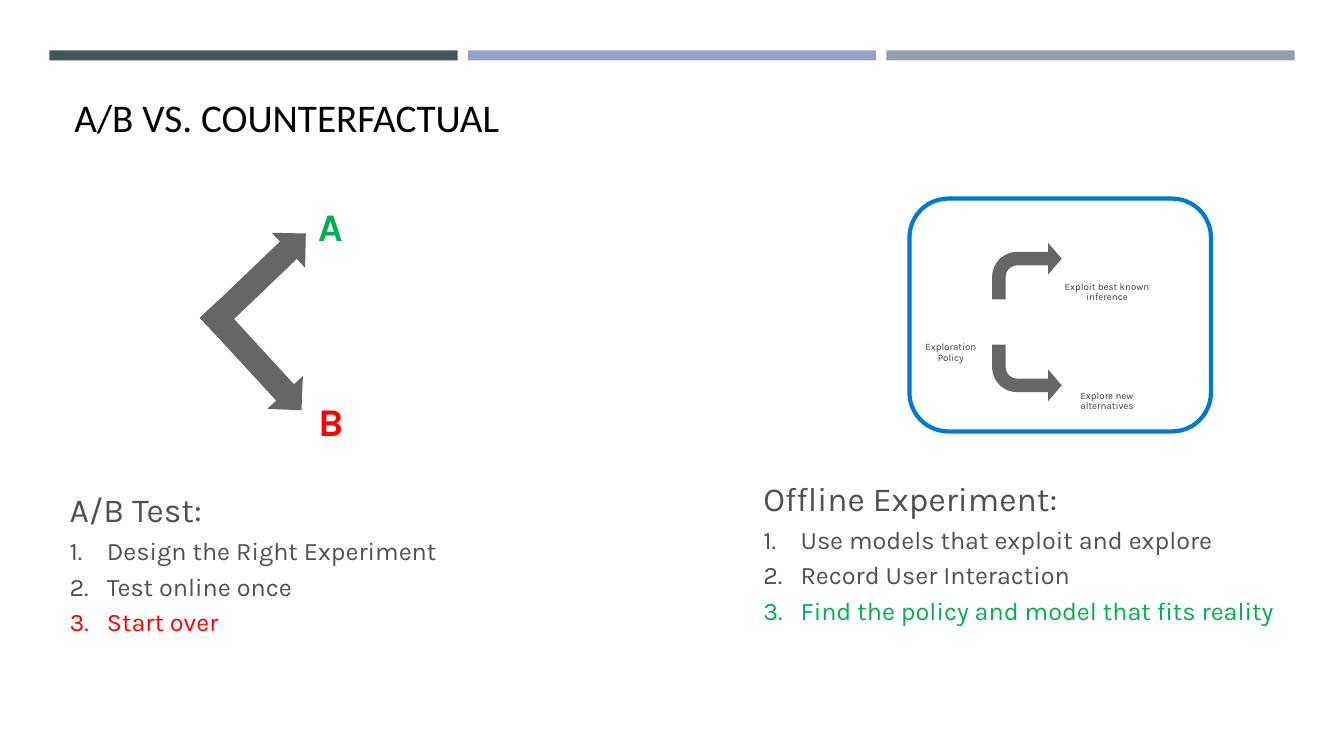
from lxml import etree
from pptx import Presentation
from pptx import util as u
from pptx.dml.color import RGBColor
from pptx.enum import shapes, text
from pptx.oxml import ns

PX = 9144
GREEN, RED, ARROW_GRAY = "00B050", "FF0000", "666666"
HEADING_GRAY, LABEL_GRAY = "505050", "3F3F3F"


def px(*lengths):
    return [u.Emu(length * PX) for length in lengths]


def color(hex_value):
    return RGBColor.from_string(hex_value)


def assign(target, values):
    for name, value in values.items():
        setattr(target, name, value)


class SlideBuilder:
    body_font = "Karla"
    padding = (20, 16, 20, 16)
    list_indent = 37

    def __init__(self, slide):
        self.slide = slide

    def shape(self, kind, box, fill=None, line=None, rotation=0, flip=False, adjustments=()):
        shape = self.slide.shapes.add_shape(kind, *px(*box))
        shape.shadow.inherit = False
        shape.rotation = rotation
        for index, value in enumerate(adjustments):
            shape.adjustments[index] = value
        if flip:
            shape.element.spPr.xfrm.set("flipV", "1")
        if fill:
            shape.fill.solid()
            shape.fill.fore_color.rgb = color(fill)
        else:
            shape.fill.background()
        if line:
            shape.line.color.rgb = color(line)
            shape.line.width = u.Pt(3)
        else:
            shape.line.fill.background()

    def frame(self, box, padding, **values):
        frame = self.slide.shapes.add_textbox(*px(*box)).text_frame
        sides = ("margin_left", "margin_top", "margin_right", "margin_bottom")
        assign(frame, dict(zip(sides, px(*padding)), word_wrap=True, **values))
        return frame

    def add_words(self, paragraph, content, size, hex_value, font=body_font, bold=False, **values):
        assign(paragraph, values)
        run = paragraph.add_run()
        run.text = content
        assign(run.font, {"name": font, "size": u.Pt(size), "bold": bold})
        run.font.color.rgb = color(hex_value)

    def title(self, box, content):
        frame = self.frame(box, (10, 5, 10, 5), vertical_anchor=text.MSO_ANCHOR.BOTTOM)
        self.add_words(frame.paragraphs[0], content, 28, "000000", font="Calibri")

    def label(self, box, content, size, hex_value, bold=False, align=text.PP_ALIGN.LEFT):
        frame = self.frame(box, self.padding, auto_size=text.MSO_AUTO_SIZE.SHAPE_TO_FIT_TEXT)
        self.add_words(frame.paragraphs[0], content, size, hex_value, bold=bold,
                       alignment=align, line_spacing=0.9, space_after=u.Pt(6))
        return frame

    def numbered_list(self, box, heading, steps, last_color):
        frame = self.label(box, heading, 24, HEADING_GRAY)
        indent = self.list_indent * PX
        for step in steps:
            paragraph = frame.add_paragraph()
            properties = paragraph._p.get_or_add_pPr()
            properties.set("marL", str(indent))
            properties.set("indent", str(-indent))
            number = etree.SubElement(properties, ns.qn("a:buAutoNum"))
            number.set("type", "arabicPeriod")
            step_color = last_color if step == steps[-1] else HEADING_GRAY
            self.add_words(paragraph, step, 18, step_color, line_spacing=0.9, space_after=u.Pt(6))


def main():
    deck = Presentation()
    deck.slide_width, deck.slide_height = px(1333, 750)
    builder = SlideBuilder(deck.slides.add_slide(deck.slide_layouts[6]))
    kinds = shapes.MSO_SHAPE

    for column, bar_color in enumerate(("465359", "96A2C6", "969FA7")):
        builder.shape(kinds.RECTANGLE, (49 + 415 * column, 50, 405, 10), bar_color)
    builder.title((64, 77, 1206, 67), "A/B VS. COUNTERFACTUAL")

    variants = (
        ("A", GREEN, 190, (188, 254, 134, 48), 316.2),
        ("B", RED, 383, (185, 333, 136, 48), 47.4),
    )
    for variant, variant_color, top, arrow_box, angle in variants:
        builder.shape(kinds.RIGHT_ARROW, arrow_box, ARROW_GRAY, rotation=angle)
        builder.label((296, top, 95, 76), variant, 28, variant_color, bold=True)

    center = text.PP_ALIGN.CENTER
    builder.label((889, 329, 108, 53), "Exploration Policy", 7, LABEL_GRAY, align=center)
    branches = (
        ("Exploit best known inference", 241, 269, False),
        ("Explore new alternatives", 342, 377, True),
    )
    for branch, arrow_top, label_top, flip in branches:
        builder.shape(kinds.BENT_ARROW, (984, arrow_top, 69, 56), ARROW_GRAY,
                      flip=flip, adjustments=(0.24, 0.28, 0.24, 0.44))
        builder.label((1036, label_top, 124, 53), branch, 7, LABEL_GRAY, align=center)
    builder.shape(kinds.ROUNDED_RECTANGLE, (902, 197, 299, 231), line="0078D7")

    builder.numbered_list(
        (49, 474, 477, 178), "A/B Test:",
        ("Design the Right Experiment", "Test online once", "Start over"), RED)
    builder.numbered_list(
        (737, 463, 548, 178), "Offline Experiment:",
        ("Use models that exploit and explore", "Record User Interaction",
         "Find the policy and model that fits reality"), GREEN)

    deck.save("out.pptx")


if __name__ == "__main__":
    main()
